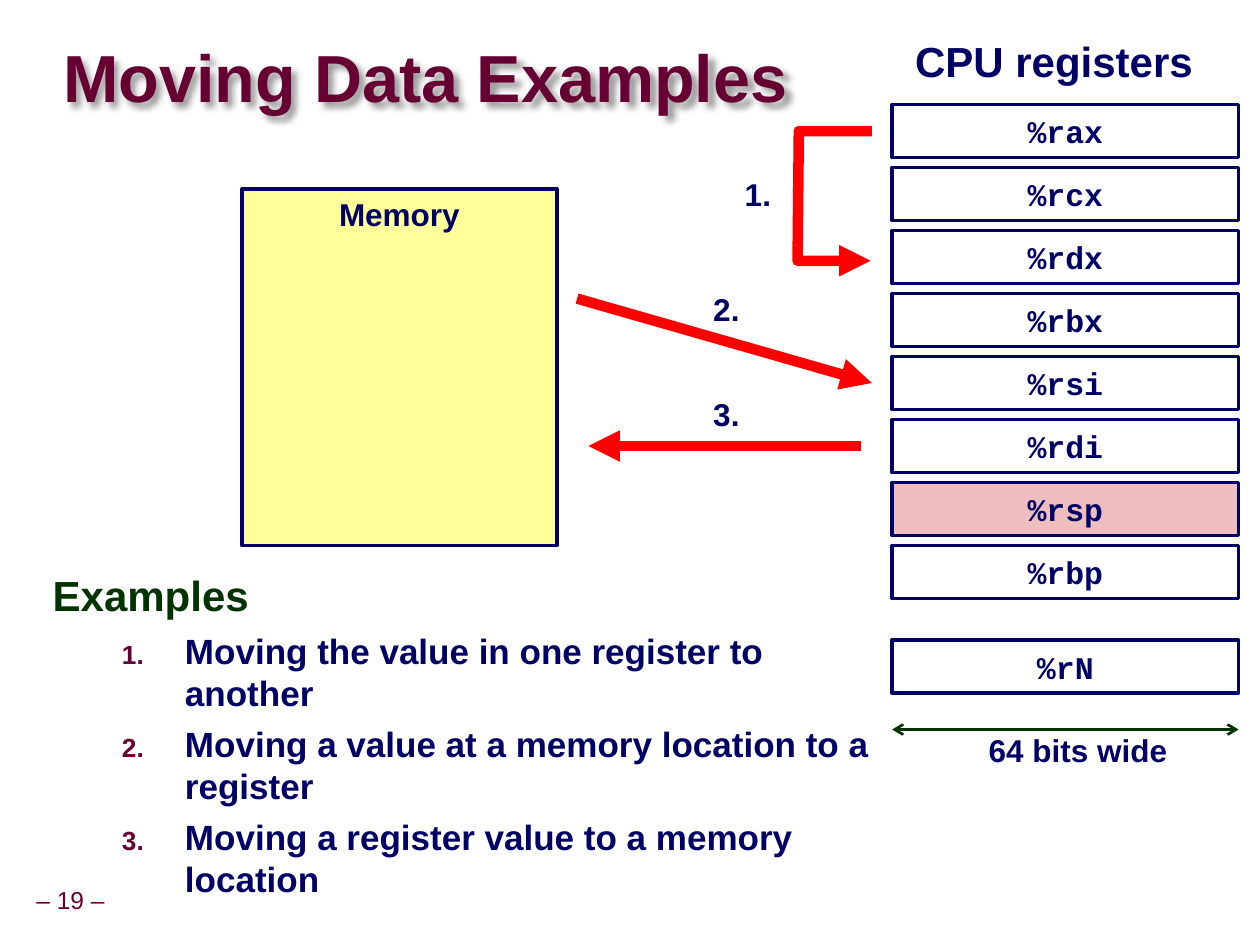
from pptx import Presentation
from pptx.dml.color import RGBColor
from pptx.enum import shapes, text
from pptx.oxml import parse_xml
from pptx.oxml.ns import nsdecls
from pptx.util import Inches, Pt

NAVY, MAROON, GREEN, RED = "000066", "660033", "003300", "FF0000"
WHITE, YELLOW, PINK = "FFFFFF", "FFFF99", "EFBFBF"

TITLE = "Moving Data Examples"
REGISTERS = ["%rax", "%rcx", "%rdx", "%rbx", "%rsi", "%rdi", "%rsp", "%rbp"]
STACK_POINTER = "%rsp"
EXAMPLES = [
    "Moving the value in one register to another",
    "Moving a value at a memory location to a register",
    "Moving a register value to a memory location",
]
LABELS = [  # text, left, top, width, height, format
    ("CPU registers", 7.15, 0.28, 2.43, 0.47, {"size": 24}),
    ("1.", 5.81, 1.37, 0.41, 0.38, {}),
    ("2.", 5.56, 2.29, 0.41, 0.38, {}),
    ("3.", 5.56, 3.12, 0.41, 0.38, {}),
    ("64 bits wide", 7.74, 5.79, 1.63, 0.38, {}),
    ("– 19 –", 0.16, 7, 0.8, 0.31, {"size": 14, "color": MAROON, "bold": False}),
]
ARROWS = [  # start, end, colour, width, arrowheads
    ((7.08, 5.79), (9.83, 5.79), GREEN, 1.5, {"head": "arrow", "tail": "arrow"}),
    ((4.58, 2.37), (6.92, 3.04), RED, 6, {"tail": "triangle"}),
    ((6.83, 3.54), (4.67, 3.54), RED, 6, {"tail": "triangle"}),
]
REGISTER_MOVE = [(6.92, 1.04), (6.34, 1.04), (6.33, 2.07), (6.91, 2.07)]
REGISTER_LEFT, REGISTER_TOP, REGISTER_STEP = 7.08, 0.83, 0.5
REGISTER_WIDTH, REGISTER_HEIGHT = 2.75, 0.42
SPARE_TOP = 5.08


def rgb(color):
    return RGBColor.from_string(color)


def write(para, words, size=18, color=NAVY, bold=True, font="Arial",
          align=text.PP_ALIGN.CENTER, spacing=1.0):
    para.alignment = align
    para.line_spacing = spacing
    span = para.add_run()
    span.text = words
    span.font.size = Pt(size)
    span.font.name = font
    span.font.bold = bold
    span.font.color.rgb = rgb(color)


def set_frame(box, anchor=text.MSO_ANCHOR.TOP, wrap=False, inset=(0.1, 0.05)):
    frame = box.text_frame
    frame.word_wrap = wrap
    frame.vertical_anchor = anchor
    frame.margin_left = frame.margin_right = Inches(inset[0])
    frame.margin_top = frame.margin_bottom = Inches(inset[1])
    return frame


def add_label(page, words, left, top, width, height, style):
    box = page.shapes.add_textbox(*map(Inches, (left, top, width, height)))
    frame = set_frame(box, inset=(0.05, 0.05))
    write(frame.paragraphs[0], words, spacing=0.9, **style)


def add_box(page, words, left, top, width, height, fill,
            anchor=text.MSO_ANCHOR.MIDDLE, font="Courier New"):
    box = page.shapes.add_shape(shapes.MSO_SHAPE.RECTANGLE,
                                *map(Inches, (left, top, width, height)))
    box.shadow.inherit = False
    box.fill.solid()
    box.fill.fore_color.rgb = rgb(fill)
    box.line.color.rgb = rgb(NAVY)
    box.line.width = Pt(2)
    write(set_frame(box, anchor).paragraphs[0], words, font=font)


def style_line(line, color, width, ends):
    line.color.rgb = rgb(color)
    line.width = Pt(width)
    for end in ("head", "tail"):
        if end in ends:
            line._get_or_add_ln().append(parse_xml(
                f'<a:{end}End {nsdecls("a")} type="{ends[end]}"/>'))


def add_arrow(page, start, end, color, width, ends):
    arrow = page.shapes.add_connector(shapes.MSO_CONNECTOR.STRAIGHT,
                                      *map(Inches, start + end))
    style_line(arrow.line, color, width, ends)
    arrow._element.spPr.append(parse_xml(f'<a:effectLst {nsdecls("a")}/>'))


def add_register_move(page):
    points = [(Inches(x), Inches(y)) for x, y in REGISTER_MOVE]
    builder = page.shapes.build_freeform(*points[0])
    builder.add_line_segments(points[1:], close=False)
    bracket = builder.convert_to_shape()
    bracket.shadow.inherit = False
    bracket.fill.background()
    style_line(bracket.line, RED, 6, {"tail": "triangle"})


def set_title(page):
    title = page.shapes.title
    title.left, title.top, title.width, title.height = map(
        Inches, (0.5, 0.33, 6.06, 0.63))
    frame = set_frame(title, text.MSO_ANCHOR.MIDDLE, wrap=True, inset=(0, 0))
    frame.auto_size = text.MSO_AUTO_SIZE.NONE
    write(frame.paragraphs[0], TITLE, size=38, color=MAROON,
          align=text.PP_ALIGN.LEFT, spacing=0.87)
    title._element.spPr.append(parse_xml(
        f'<a:effectLst {nsdecls("a")}><a:outerShdw blurRad="50800" dist="50800" '
        'dir="2700000" algn="tl" rotWithShape="0"><a:srgbClr val="000000">'
        '<a:alpha val="40000"/></a:srgbClr></a:outerShdw></a:effectLst>'))


def number(para):
    """Number the paragraph with a small maroon numeral and a hanging indent."""
    props = para._p.get_or_add_pPr()
    props.set("marL", str(Inches(1.05)))
    props.set("indent", str(Inches(-0.5)))
    for bullet in (f'<a:buClr {nsdecls("a")}><a:srgbClr val="{MAROON}"/></a:buClr>',
                   f'<a:buSzPct {nsdecls("a")} val="75000"/>',
                   f'<a:buFont {nsdecls("a")} typeface="Arial"/>',
                   f'<a:buAutoNum {nsdecls("a")} type="arabicPeriod"/>'):
        props.append(parse_xml(bullet))


def add_examples(page):
    box = page.shapes.add_textbox(*map(Inches, (0.32, 4.5, 6.77, 2.47)))
    frame = set_frame(box, wrap=True)
    write(frame.paragraphs[0], "Examples", size=24, color=GREEN,
          align=text.PP_ALIGN.LEFT, spacing=0.95)
    for example in EXAMPLES:
        para = frame.add_paragraph()
        number(para)
        para.space_before = Pt(5)
        write(para, example, size=20, align=text.PP_ALIGN.LEFT)


def main():
    deck = Presentation()
    deck.slide_width, deck.slide_height = Inches(10), Inches(7.5)
    page = deck.slides.add_slide(deck.slide_layouts[5])
    set_title(page)
    add_examples(page)
    add_box(page, "Memory", 1.92, 1.5, 2.5, 2.83, YELLOW,
            anchor=text.MSO_ANCHOR.TOP, font="Arial")
    for arrow in ARROWS:
        add_arrow(page, *arrow)
    add_register_move(page)
    for label in LABELS:
        add_label(page, *label)
    rows = [(name, REGISTER_TOP + i * REGISTER_STEP)
            for i, name in enumerate(REGISTERS)]
    for name, top in rows + [("%rN", SPARE_TOP)]:
        add_box(page, name, REGISTER_LEFT, top, REGISTER_WIDTH, REGISTER_HEIGHT,
                PINK if name == STACK_POINTER else WHITE)
    deck.save("out.pptx")


if __name__ == "__main__":
    main()
